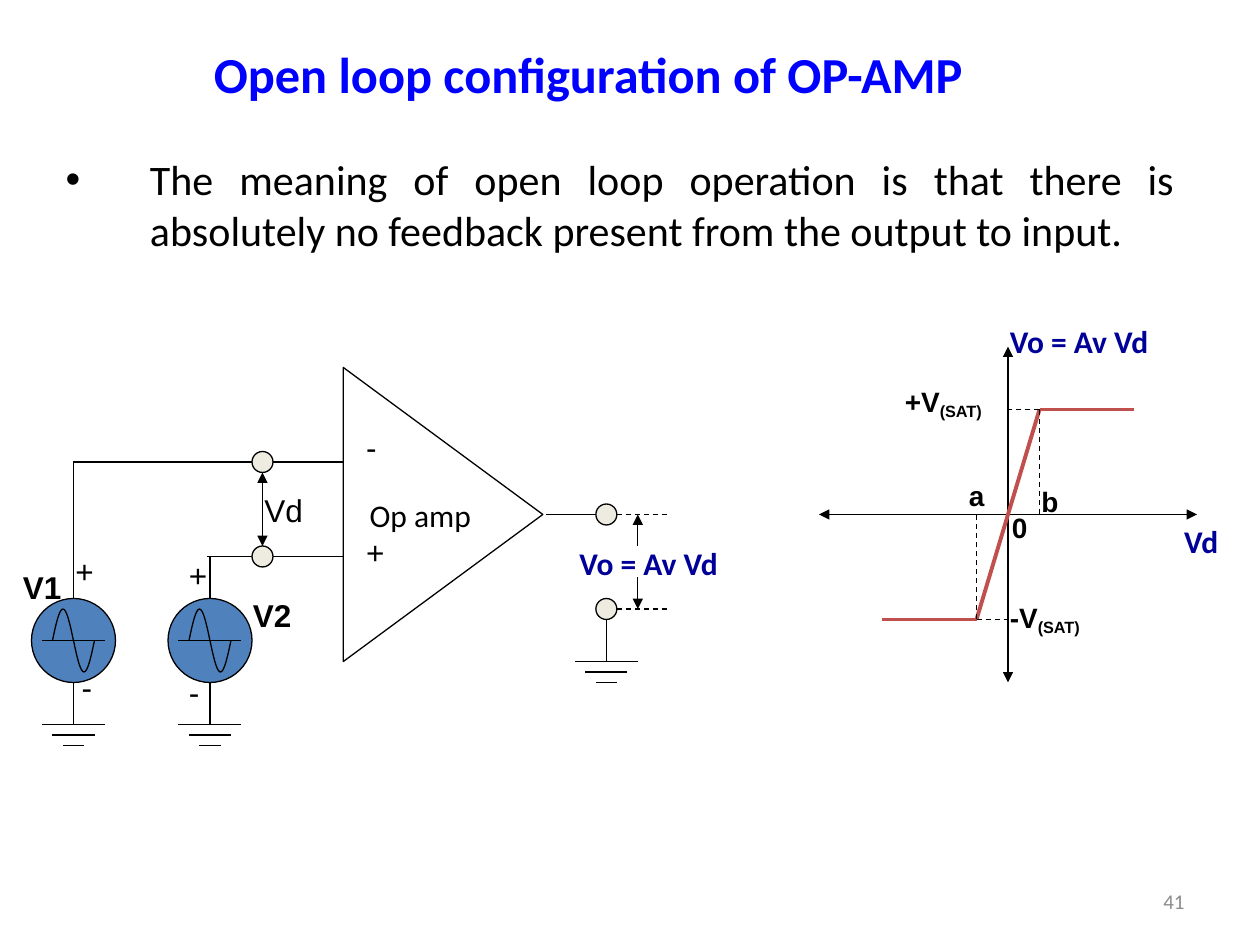
import math

from pptx import Presentation
from pptx import util as u
from pptx.dml.color import RGBColor
from pptx.enum import dml, shapes, text
from pptx.oxml.ns import qn
from lxml import etree

CELL = 1 / 12  # side of one grid cell in inches
BLACK, NAVY, BLUE, GRAY = "000000", "000099", "0000FF", "8C8C8C"
SOURCE_FILL, TERMINAL_FILL, CURVE = "4F81BD", "EEECE1", "C0504D"


def color(value):
    return RGBColor.from_string(value)


def style_font(font, size, name, value=BLACK, bold=False):
    font.size, font.name, font.bold = u.Pt(size), name, bold
    font.color.rgb = color(value)


def style_outline(line, width=0.75, value=BLACK):
    line.width = u.Pt(width)
    line.color.rgb = color(value)


class Region:
    """A part of the slide whose top left corner is a cell of the grid."""

    def __init__(self, slide, column, row):
        self.shapes, self.column, self.row = slide.shapes, column, row

    def point(self, x, y):
        return u.Inches((self.column + x) * CELL), u.Inches((self.row + y) * CELL)

    def line(self, start, end, width=0.75, value=BLACK, dashed=False, arrows=()):
        connector = self.shapes.add_connector(
            shapes.MSO_CONNECTOR.STRAIGHT, *self.point(*start), *self.point(*end))
        style_outline(connector.line, width, value)
        if dashed:
            connector.line.dash_style = dml.MSO_LINE.DASH
        properties = connector._element.spPr
        for end_name in arrows:
            etree.SubElement(properties.find(qn("a:ln")), qn("a:" + end_name), type="triangle")
        etree.SubElement(properties, qn("a:effectLst"))

    def shape(self, kind, center, width, height, fill=None):
        left, top = self.point(center[0] - width / 2, center[1] - height / 2)
        shape = self.shapes.add_shape(
            kind, left, top, u.Inches(width * CELL), u.Inches(height * CELL))
        shape.shadow.inherit = False
        style_outline(shape.line)
        if fill:
            shape.fill.solid()
            shape.fill.fore_color.rgb = color(fill)
        else:
            shape.fill.background()
        return shape

    def circle(self, center, diameter, fill):
        self.shape(shapes.MSO_SHAPE.OVAL, center, diameter, diameter, fill)

    def half_wave(self, x, y, width, height):
        """Half a sine period; a negative height runs below the axis."""
        steps = 16
        points = [self.point(x + width * i / steps, y - height * math.sin(math.pi * i / steps))
                  for i in range(steps + 1)]
        builder = self.shapes.build_freeform(*points[0])
        builder.add_line_segments(points[1:], close=False)
        wave = builder.convert_to_shape()
        wave.shadow.inherit = False
        wave.fill.background()
        style_outline(wave.line)

    def label(self, wording, x, y, width, size=18, name="Arial", value=BLACK,
              bold=False, subscript=None):
        height = 4.8 if size == 18 else 4.4
        box = self.shapes.add_textbox(
            *self.point(x, y), u.Inches(width * CELL), u.Inches(height * CELL))
        frame = box.text_frame
        frame.word_wrap = False
        frame.auto_size = text.MSO_AUTO_SIZE.SHAPE_TO_FIT_TEXT
        paragraph = frame.paragraphs[0]
        paragraph.text = wording
        if subscript:
            paragraph.add_run().text = subscript
            paragraph.runs[1].font._element.set("baseline", "-18000")
        for run in paragraph.runs:
            style_font(run.font, size, name, value, bold)

    def formula(self, wording, x, y, width):
        self.label(wording, x, y, width, name="Calibri", value=NAVY, bold=True)

    def ground(self, x, top, bottom):
        self.line((x, bottom), (x, top))
        for step in range(3):
            reach = 3 - step
            self.line((x - reach, bottom + step), (x + reach, bottom + step))


def place(placeholder, left, top, width, height):
    placeholder.left, placeholder.top = u.Inches(left), u.Inches(top)
    placeholder.width, placeholder.height = u.Inches(width), u.Inches(height)


def add_heading(slide):
    title = slide.shapes.title
    place(title, 0.17, 0.33, 9, 0.5)
    title.text_frame.text = "Open loop configuration of OP-AMP"
    title.text_frame.vertical_anchor = text.MSO_ANCHOR.MIDDLE
    paragraph = title.text_frame.paragraphs[0]
    paragraph.alignment = text.PP_ALIGN.CENTER
    style_font(paragraph.runs[0].font, 28.8, "Calibri", BLUE, bold=True)


def add_statement(slide):
    body = slide.placeholders[1]
    place(body, 0.42, 1.17, 9, 5.92)
    body.text_frame.text = ("The meaning of open loop operation is that there is "
                            "absolutely no feedback present from the output to input.")
    paragraph = body.text_frame.paragraphs[0]
    paragraph.alignment = text.PP_ALIGN.JUSTIFY
    paragraph.space_before = u.Pt(0)
    indent = u.Inches(0.67)
    properties = paragraph._p.get_or_add_pPr()
    properties.set("marL", str(indent))
    properties.set("indent", str(-indent))
    style_font(paragraph.runs[0].font, 24, "Calibri")


def add_source(region, x, y):
    """Sine source with its ground, centred on the given cell."""
    region.circle((x, y), 8, SOURCE_FILL)
    region.line((x - 3, y), (x + 3, y))
    region.half_wave(x - 2, y, 2, 3)
    region.half_wave(x, y, 2, -3)
    region.ground(x, y + 4, y + 8)


def add_amplifier(region, center):
    triangle = region.shape(shapes.MSO_SHAPE.ISOSCELES_TRIANGLE, center, 28, 19)
    triangle.rotation = 90
    frame = triangle.text_frame
    frame.text = "Op amp"
    frame.word_wrap = False
    frame.vertical_anchor = text.MSO_ANCHOR.MIDDLE
    # Turn the text back upright
    body = frame._txBody.bodyPr
    body.set("rot", "10800000")
    body.set("vert", "eaVert")
    paragraph = frame.paragraphs[0]
    paragraph.alignment = text.PP_ALIGN.CENTER
    paragraph._p.get_or_add_pPr().set("marL", str(u.Inches(0.11)))
    style_font(paragraph.runs[0].font, 18, "Calibri")


def add_circuit(slide, column, row):
    region = Region(slide, column, row)
    first, second, pin, output = 7, 20, 32.75, 57.75
    upper, middle, lower, source, result = 9, 14, 18, 26, 23
    # Sources and input wires
    add_source(region, first, source)
    add_source(region, second, source)
    region.line((first, source - 4), (first, upper))
    region.line((first, upper), (pin, upper))
    region.line((second, source - 4), (second, lower))
    region.line((second - 0.3, lower), (pin, lower))
    # Amplifier and output
    add_amplifier(region, (42.2, middle))
    region.line((52, middle), (output - 1, middle))
    region.ground(output, result + 1, result + 5)
    for y in (middle, result):
        region.line((output + 1, y), (output + 6, y), dashed=True)
    for start, end in ((17, middle), (20, result)):
        region.line((output + 3, start), (output + 3, end), arrows=["tailEnd"])
    # Terminals
    for center in ((25, upper), (25, lower), (output, middle), (output, result)):
        region.circle(center, 2, TERMINAL_FILL)
    region.line((25, lower - 1), (25, upper + 1), arrows=["headEnd", "tailEnd"])
    # Labels
    for sign, x, y in (("+", 16.8, 17.4), ("+", 6, 17), ("-", 16.8, 28.5), ("-", 6.6, 28),
                       ("-", 33.7, 5.2), ("+", 33.7, 15.2)):
        region.label(sign, x, y, 4.2 if sign == "+" else 3.4)
    region.label("Vd", 24, 11.2, 6.1)
    region.label("V1", 1, 18.5, 6.1, bold=True)
    region.label("V2", 22.9, 21.2, 6.1, bold=True)
    region.formula("Vo = Av Vd", 54, 16.2, 19.2)


def add_transfer_graph(slide, column, row):
    region = Region(slide, column, row)
    x, y, knee, limit = 18, 19, 3, 10
    # Axes
    for start, end in (((x, y - 16), (x, y + 16)), ((x + 18, y), (x - 18, y))):
        region.line(start, end, width=1, arrows=["headEnd", "tailEnd"])
    # Transfer curve and its guides
    low, high = (x - knee, y + limit), (x + knee, y - limit)
    curve = [(low[0] - 9, low[1]), low, high, (high[0] + 9, high[1])]
    for start, end in zip(curve, curve[1:]):
        region.line(start, end, width=2.25, value=CURVE)
    for corner in (low, high):
        region.line(corner, (corner[0], y), dashed=True)
        region.line(corner, (x, corner[1]), dashed=True)
    # Labels
    for wording, left, top, width, subscript in (
            ("0", 17.2, 18, 3.8, None), ("b", 20, 15.6, 4.1, None), ("a", 13.1, 15, 3.8, None),
            ("+V", 7, 6, 10.7, "(SAT)"), ("-V", 17, 26.6, 10, "(SAT)")):
        region.label(wording, left, top, width, size=16, bold=True, subscript=subscript)
    region.formula("Vo = Av Vd", 17, 0.1, 19.2)
    region.formula("Vd", 33.6, 19.1, 6.8)


def add_page_number(slide, number):
    box = slide.shapes.add_textbox(
        u.Inches(7.17), u.Inches(6.95), u.Inches(2.33), u.Inches(0.4))
    frame = box.text_frame
    frame.text = number
    frame.word_wrap = True
    frame.vertical_anchor = text.MSO_ANCHOR.MIDDLE
    frame.paragraphs[0].alignment = text.PP_ALIGN.RIGHT
    style_font(frame.paragraphs[0].runs[0].font, 12, "Calibri", GRAY)


def main():
    presentation = Presentation()
    presentation.slide_width, presentation.slide_height = u.Inches(10), u.Inches(7.5)
    slide = presentation.slides.add_slide(presentation.slide_layouts[1])
    add_heading(slide)
    add_statement(slide)
    add_circuit(slide, column=0, row=35)
    add_transfer_graph(slide, column=78, row=30)
    add_page_number(slide, "41")
    presentation.save("out.pptx")


if __name__ == "__main__":
    main()
